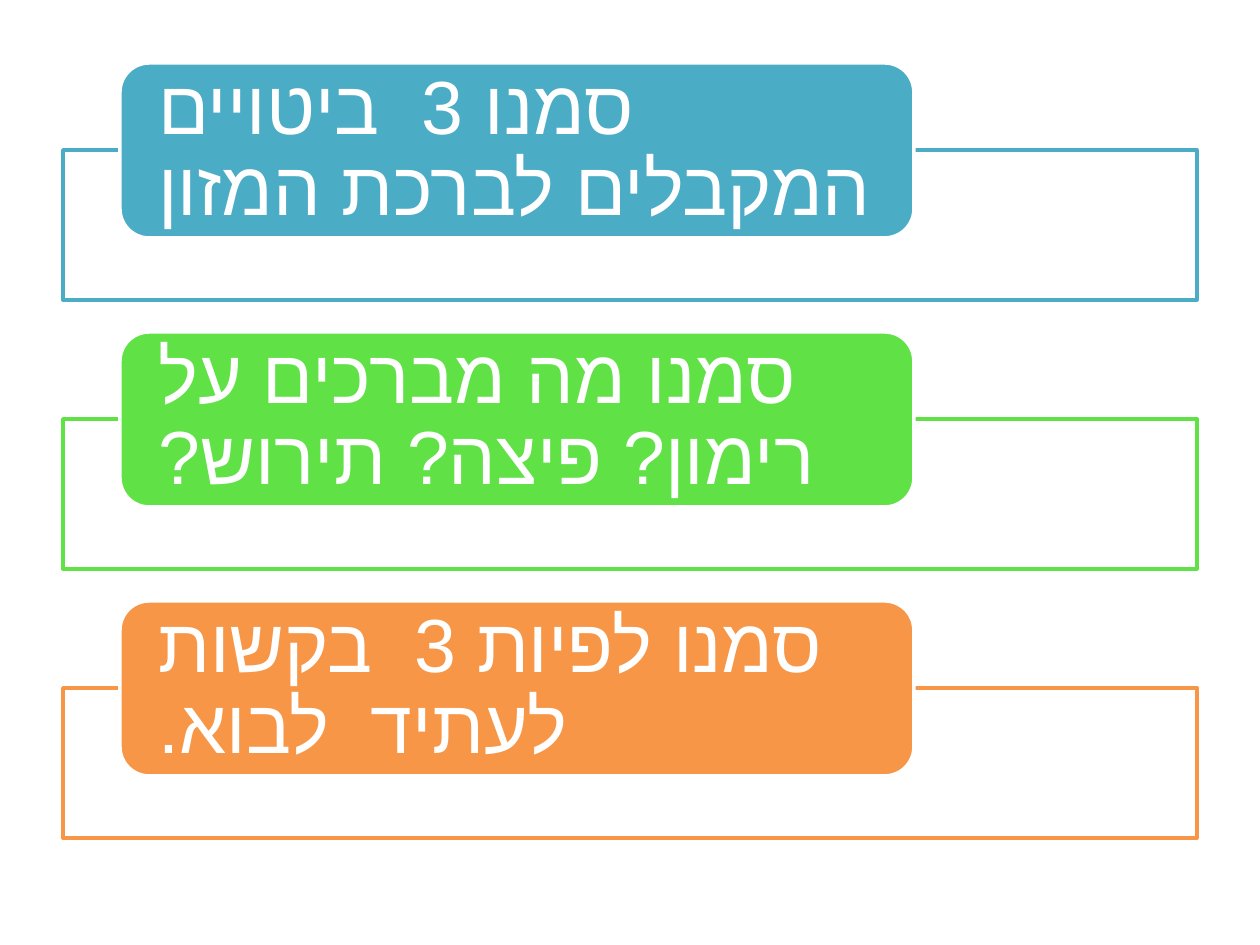
from lxml import etree
from pptx import Presentation
from pptx.dml.color import RGBColor
from pptx.enum.shapes import MSO_SHAPE
from pptx.enum.text import MSO_ANCHOR, PP_ALIGN
from pptx.oxml.ns import qn
from pptx.util import Pt

PX = 914400 // 126
RECT, PILL = MSO_SHAPE.RECTANGLE, MSO_SHAPE.ROUNDED_RECTANGLE
MIDDLE, LEFT = MSO_ANCHOR.MIDDLE, PP_ALIGN.LEFT
FONT, HEBREW_FONT, WHITE = "Calibri", "Arial", "FFFFFF"
LEFT_X, TOP_Y, WIDTH, HEIGHT, STEP = 63, 150, 1134, 150, 269
TASKS = [
    ("סמנו 3  ביטויים המקבלים לברכת המזון", "4BACC6"),
    ("סמנו מה מברכים על רימון? פיצה? תירוש?", "60E146"),
    ("סמנו לפיות 3  בקשות לעתיד  לבוא.", "F79646"),
]


def rgb(value):
    """Return the colour of a hex string."""
    return RGBColor.from_string(value)


def add_box(s, kind, x, y, w, h, fill, line, alpha=None):
    """Add a filled and outlined shape, with fill opacity in percent."""
    sp = s.shapes.add_shape(kind, x * PX, y * PX, w * PX, h * PX)
    sp.shadow.inherit = False
    sp.fill.solid()
    sp.fill.fore_color.rgb = rgb(fill)
    sp.line.color.rgb = rgb(line)
    sp.line.width = Pt(2)
    if alpha is not None:
        clr = sp._element.spPr.find(qn("a:solidFill"))[0]
        etree.SubElement(clr, qn("a:alpha"), val=str(alpha * 1000))
    return sp


def add_text(sp, text, size=43, color=WHITE, font=FONT, inset=30, spacing=0.9):
    """Write one right-to-left paragraph, set against the left edge."""
    tf = sp.text_frame
    tf.word_wrap = True
    tf.vertical_anchor = MIDDLE
    tf.margin_left = tf.margin_right = inset * PX
    tf.margin_top = tf.margin_bottom = 0
    p = tf.paragraphs[0]
    p.alignment = LEFT
    p.line_spacing = spacing
    p._p.get_or_add_pPr().set("rtl", "1")
    r = p.add_run()
    r.text = text
    r.font.size = Pt(size)
    r.font.name = font
    r.font.color.rgb = rgb(color)
    etree.SubElement(r._r.get_or_add_rPr(), qn("a:cs"), typeface=HEBREW_FONT)


def add_task(s, x, y, w, h, text, color):
    """Add an outlined frame with a coloured label over its top edge."""
    add_box(s, RECT, x, y, w, h, WHITE, color, alpha=90)
    label = add_box(s, PILL, x + 57, y - 87, 794, 175, color, WHITE)
    add_text(label, text)


def main():
    """Build the slide and save it."""
    prs = Presentation()
    prs.slide_width, prs.slide_height = 1260 * PX, 945 * PX
    s = prs.slides.add_slide(prs.slide_layouts[6])
    for i, (text, color) in enumerate(TASKS):
        add_task(s, LEFT_X, TOP_Y + i * STEP, WIDTH, HEIGHT, text, color)
    prs.save("out.pptx")


if __name__ == "__main__":
    main()
